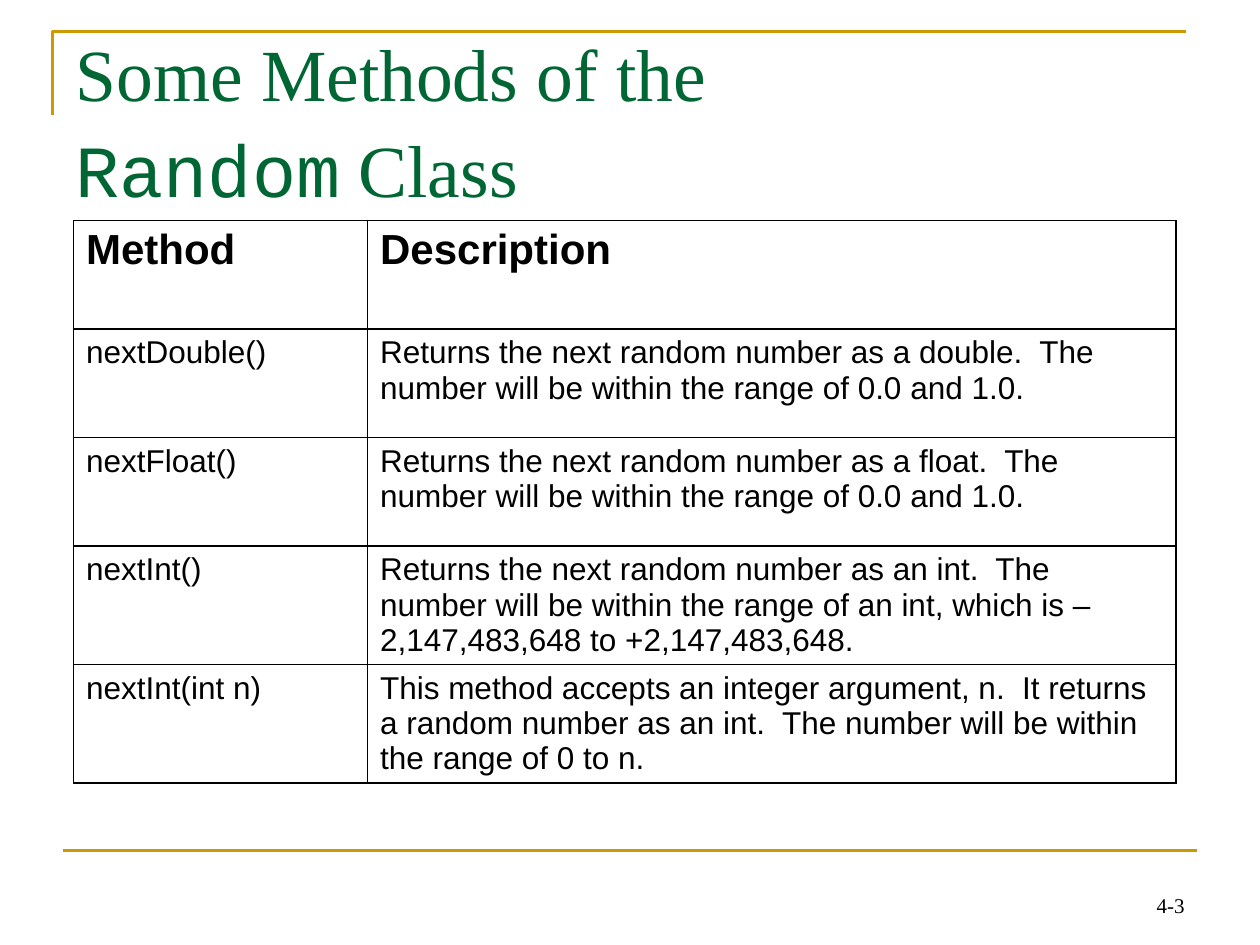
from lxml.etree import SubElement as Sub
from pptx import Presentation
from pptx.dml.color import RGBColor as RGB
from pptx.enum.shapes import MSO_CONNECTOR as LINK
from pptx.enum.text import MSO_ANCHOR as ANCHOR, MSO_AUTO_SIZE as SIZE, PP_ALIGN as ALIGN
from pptx.oxml.ns import qn
from pptx.util import Pt

TITLE = [
    ("Some Methods of the \v", "Times New Roman"),
    ("Random", "Courier New"),
    (" Class", "Times New Roman"),
]
ROWS = [
    ("Method", "Description"),
    ("nextDouble()", "Returns the next random number as a double.  The number will be within the range of 0.0 and 1.0."),
    ("nextFloat()", "Returns the next random number as a float.  The number will be within the range of 0.0 and 1.0."),
    ("nextInt()", "Returns the next random number as an int.  The number will be within the range of an int, which is –2,147,483,648 to +2,147,483,648."),
    ("nextInt(int n)", "This method accepts an integer argument, n.  It returns a random number as an int.  The number will be within the range of 0 to n."),
]
PAGE = "4-3"
COLORS = {"gold": "CC9900", "green": "006633", "black": "000000"}
WIDTHS = (168, 462)
ROW_H = 62


def color(name):
    return RGB.from_string(COLORS[name])


def style(font, face, size, name, bold=False):
    font.name, font.size, font.bold = face, Pt(size), bold
    font.color.rgb = color(name)


def stroke(shape):
    shape.line.color.rgb = color("gold")
    shape.line.width = Pt(1.5)


def border(cell):
    props = cell._tc.get_or_add_tcPr()
    for side in ("lnL", "lnR", "lnT", "lnB"):
        line = Sub(props, qn("a:" + side), w=str(Pt(1)))
        fill = Sub(line, qn("a:solidFill"))
        Sub(fill, qn("a:srgbClr"), val=COLORS["black"])


def add_rules(slide):
    pen = slide.shapes.build_freeform(Pt(30), Pt(66))
    pen.add_line_segments([(Pt(30), Pt(18)), (Pt(678), Pt(18))], close=False)
    corner = pen.convert_to_shape()
    corner.shadow.inherit = False
    corner.fill.background()
    stroke(corner)
    rule = slide.shapes.add_connector(LINK.STRAIGHT, Pt(36), Pt(486), Pt(684), Pt(486))
    stroke(rule)
    Sub(rule._element.spPr, qn("a:effectLst"))


def add_title(slide):
    title = slide.shapes.title
    title.left, title.top, title.width, title.height = Pt(36), Pt(12.24), Pt(660), Pt(90)
    frame = title.text_frame
    frame.text = ""
    frame.auto_size = SIZE.NONE
    frame.vertical_anchor = ANCHOR.TOP
    frame.margin_top = 0
    para = frame.paragraphs[0]
    para.alignment = ALIGN.LEFT
    para.line_spacing = Pt(54.4)
    for text, face in TITLE:
        run = para.add_run()
        run.text = text.rstrip("\v")
        style(run.font, face, 42, "green")
        if text.endswith("\v"):
            para.add_line_break()


def add_methods(slide):
    table = slide.shapes.add_table(
        len(ROWS), len(WIDTHS), Pt(42), Pt(126), Pt(sum(WIDTHS)), Pt(ROW_H * len(ROWS))
    ).table
    table.first_row = table.horz_banding = False
    for col, width in zip(table.columns, WIDTHS):
        col.width = Pt(width)
    for i, row in enumerate(ROWS):
        table.rows[i].height = Pt(ROW_H)
        for j, text in enumerate(row):
            cell = table.cell(i, j)
            cell.text_frame.text = text
            run = cell.text_frame.paragraphs[0].runs[0]
            style(run.font, "Arial", 18 if i else 24, "black", i == 0)
            border(cell)
            cell.fill.background()


def add_page(slide):
    frame = slide.shapes.add_textbox(Pt(516), Pt(492), Pt(168), Pt(36)).text_frame
    frame.word_wrap = True
    frame.vertical_anchor = ANCHOR.BOTTOM
    frame.text = PAGE
    para = frame.paragraphs[0]
    para.alignment = ALIGN.RIGHT
    style(para.runs[0].font, "Times New Roman", 12, "black")


def main():
    deck = Presentation()
    deck.slide_width, deck.slide_height = Pt(720), Pt(540)
    slide = deck.slides.add_slide(deck.slide_layouts[5])
    add_rules(slide)
    add_title(slide)
    add_methods(slide)
    add_page(slide)
    deck.save("out.pptx")


if __name__ == "__main__":
    main()
